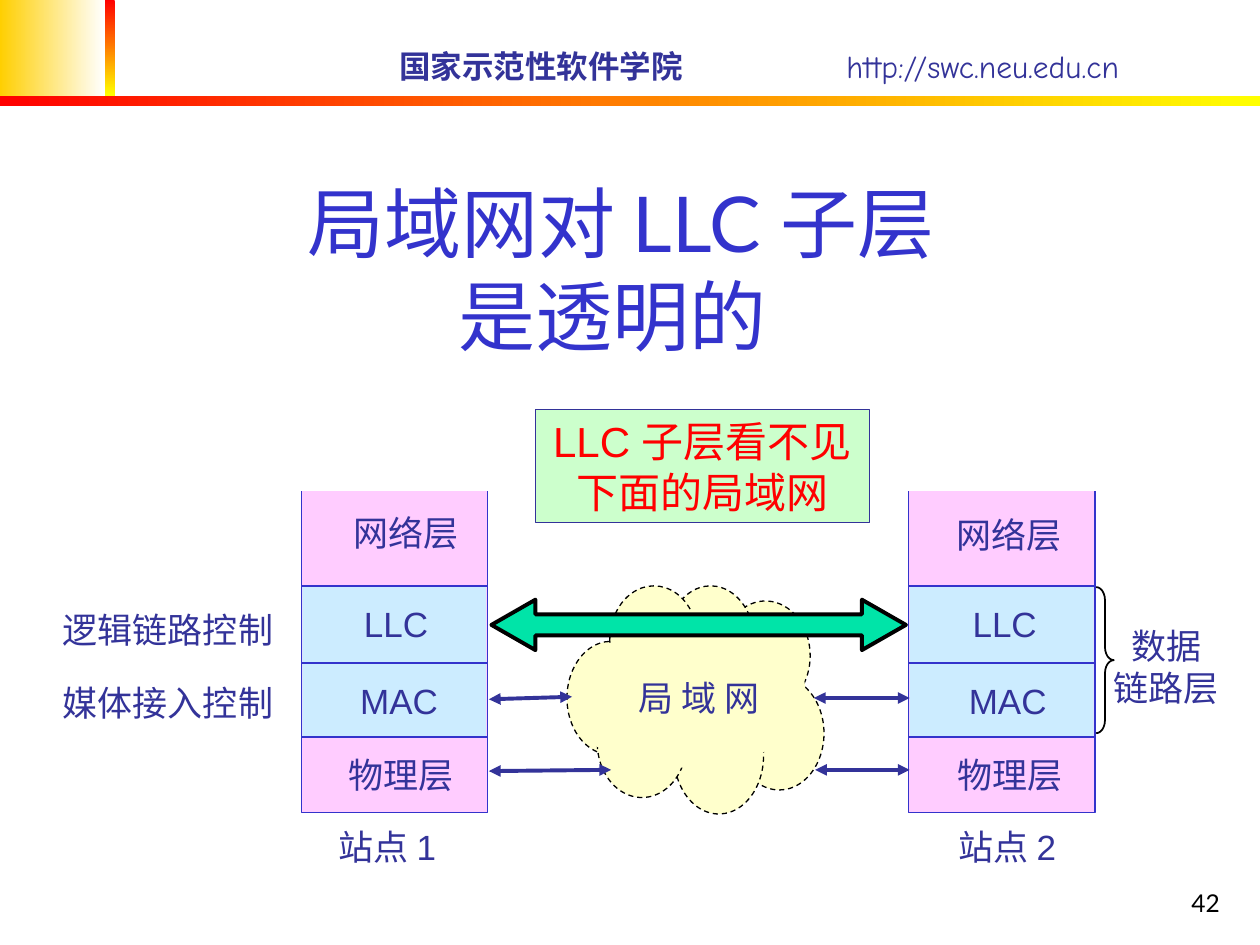
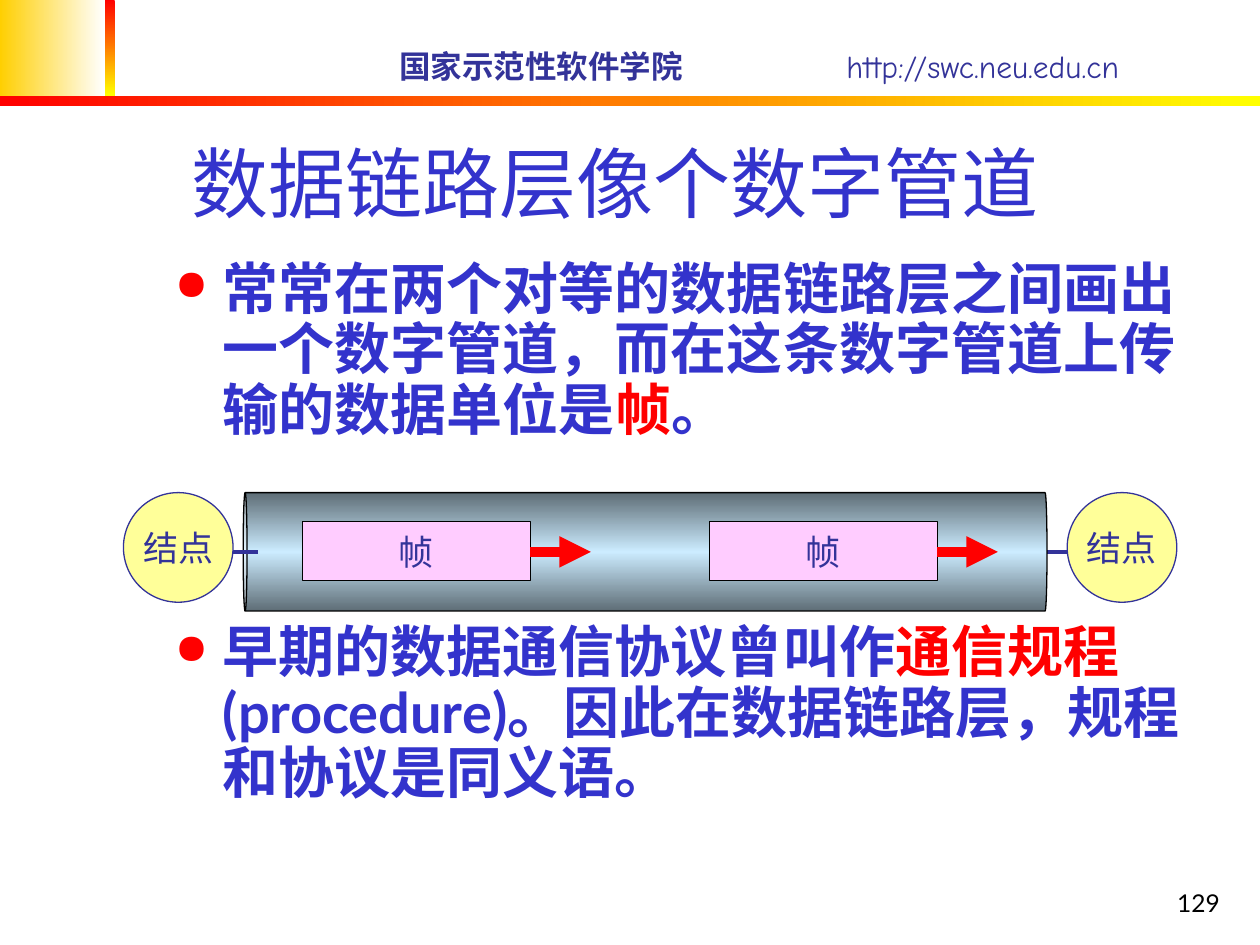
from lxml import etree
from pptx import Presentation
from pptx.dml.color import RGBColor
from pptx.enum.dml import MSO_LINE
from pptx.enum.shapes import MSO_CONNECTOR, MSO_SHAPE
from pptx.enum.text import MSO_ANCHOR, PP_ALIGN
from pptx.oxml.ns import qn
from pptx.util import Inches, Pt

RECT, OVAL, CAN = MSO_SHAPE.RECTANGLE, MSO_SHAPE.OVAL, MSO_SHAPE.CAN
DOUBLE_ARROW, BRACE = MSO_SHAPE.LEFT_RIGHT_ARROW, MSO_SHAPE.RIGHT_BRACE
STRAIGHT, DASH = MSO_CONNECTOR.STRAIGHT, MSO_LINE.DASH
LEFT, CENTER, RIGHT = PP_ALIGN.LEFT, PP_ALIGN.CENTER, PP_ALIGN.RIGHT
TOP, MIDDLE, BOTTOM = MSO_ANCHOR.TOP, MSO_ANCHOR.MIDDLE, MSO_ANCHOR.BOTTOM

# The slide is a grid of 10 columns by 7.5 rows.
SLIDE_W, SLIDE_H = Inches(10), Inches(7.5)
COL, ROW = SLIDE_W / 10, SLIDE_H / 7.5

COLORS = {
    "gold": "FFCF01", "white": "FFFFFF", "red": "FF0000", "yellow": "FFFF00",
    "navy": "333399", "blue": "3333CC", "black": "000000", "pink": "FFCCFF",
    "sky": "CCECFF", "cloud": "FFFFCC", "mint": "CCFFCC", "green": "00E4A8",
    "node": "FFFF99", "steel": "5E6D76",
}
BODY_FONT, DIAGRAM_FONT, HEADER_FONT = "Lato", "Arial", "Comic Neue"

STATION_LEFTS = (2.39, 7.21)
STATION_W, STATION_TOP, STATION_BOTTOM = 1.48, 3.9, 6.45
LAYER_EDGES = (4.65, 5.26, 5.85)
# text, width, left and top at each station
STATION_LABELS = [
    ("网络层", 1.1, (2.71, 4.01), (7.49, 4.03)),
    ("LLC", 0.75, (2.79, 4.73), (7.62, 4.73)),
    ("MAC", 0.85, (2.76, 5.34), (7.59, 5.34)),
    ("物理层", 1.1, (2.67, 5.93), (7.5, 5.93)),
    ("站点 1", 1.15, (2.59, 6.5), None),
    ("站点 2", 1.15, None, (7.51, 6.5)),
]
CLOUD_PUFFS = [
    (5.83, 5.37, 0.71, 0.9), (4.5, 5.09, 0.7, 0.9), (5.72, 4.77, 0.71, 0.87),
    (5.35, 5.54, 0.71, 0.92), (4.74, 5.46, 0.71, 0.87),
    (5.29, 4.65, 0.7, 0.9), (4.84, 4.65, 0.7, 0.86),
]
CLOUD_CORES = [(4.69, 4.85, 1.7, 1.25), (4.7, 5.69, 0.09, 0.24)]


def rgb(color):
    return RGBColor.from_string(COLORS[color])


def place(left, top, width, height):
    """Turn columns and rows into slide lengths."""
    return [round(n) for n in (left * COL, top * ROW, width * COL, height * ROW)]


def set_outline(shape, color, width, dash=None):
    if color is None:
        shape.line.fill.background()
        return
    shape.line.color.rgb = rgb(color)
    shape.line.width = Pt(width)
    if dash:
        shape.line.dash_style = dash


def set_fill(shape, fill):
    """Apply no fill, one colour name, or (angle, colour names) as a gradient."""
    if fill is None:
        shape.fill.background()
    elif isinstance(fill, str):
        shape.fill.solid()
        shape.fill.fore_color.rgb = rgb(fill)
    else:
        angle, names = fill
        shape.fill.gradient()
        shape.fill.gradient_angle = -angle % 360
        stops = shape._element.spPr.find(qn("a:gradFill")).find(qn("a:gsLst"))
        for stop in list(stops):
            stops.remove(stop)
        for i, name in enumerate(names):
            position = str(round(100000 * i / (len(names) - 1)))
            stop = etree.SubElement(stops, qn("a:gs"), pos=position)
            etree.SubElement(stop, qn("a:srgbClr"), val=COLORS[name])


def add_block(slide, kind, box, fill, line=None, width=0.75, dash=None, adjust=()):
    block = slide.shapes.add_shape(kind, *place(*box))
    block.shadow.inherit = False
    set_fill(block, fill)
    set_outline(block, line, width, dash)
    for i, value in enumerate(adjust):
        block.adjustments[i] = value
    return block


def write(shape, text, size, color, font, align=CENTER, anchor=MIDDLE,
          wrap=False, bold=False):
    frame = shape.text_frame
    frame.text = text
    frame.word_wrap = wrap
    frame.vertical_anchor = anchor
    for paragraph in frame.paragraphs:
        paragraph.alignment = align
        for run in paragraph.runs:
            style_run(run, size, color, font, bold)


def style_run(run, size, color, font, bold=False):
    run.font.size = Pt(size)
    run.font.name = font
    run.font.bold = bold
    run.font.color.rgb = rgb(color)


def add_text(slide, box, text, size, color, font, **layout):
    write(slide.shapes.add_textbox(*place(*box)), text, size, color, font, **layout)


def add_label(slide, text, left, top, width, height=0.43, align=LEFT):
    add_text(slide, (left, top, width, height), text, 20, "navy", DIAGRAM_FONT,
             align=align, anchor=TOP)


def add_line(slide, start, end, color, width, heads=()):
    ends = place(*start, *end)
    line = slide.shapes.add_connector(STRAIGHT, *ends)
    set_outline(line, color, width)
    properties = line._element.spPr
    for head in heads:
        etree.SubElement(properties.find(qn("a:ln")), qn("a:" + head), type="triangle")
    etree.SubElement(properties, qn("a:effectLst"))


def add_page(deck, title, title_left, title_top, number):
    """Add a slide with the college header, its title and its number."""
    slide = deck.slides.add_slide(deck.slide_layouts[6])
    add_block(slide, RECT, (0, 0, 0.83, 0.76), (0, ("gold", "white")))
    add_block(slide, RECT, (0.83, 0, 0.08, 0.76), (90, ("red", "yellow")))
    add_block(slide, RECT, (0, 0.76, 10, 0.08), (0, ("red", "yellow")))
    for left, text, bold in ((3.07, "国家示范性软件学院", True),
                             (6.62, "http://swc.neu.edu.cn", False)):
        add_text(slide, (left, 0.32, 3, 0.4), text, 18, "navy", HEADER_FONT,
                 align=LEFT, bold=bold)
    add_text(slide, (title_left, title_top, 7.5, 0.84), title, 44, "blue",
             BODY_FONT, anchor=BOTTOM, wrap=True)
    add_text(slide, (7.7, 6.83, 2.08, 0.5), number, 14, "black", BODY_FONT,
             align=RIGHT, anchor=BOTTOM, wrap=True)
    return slide


def add_station(slide, left):
    """Draw a protocol stack that is open at the top."""
    right = left + STATION_W
    corners = [(left, STATION_TOP), (left, STATION_BOTTOM),
               (right, STATION_BOTTOM), (right, STATION_TOP)]
    points = [(round(x * COL), round(y * ROW)) for x, y in corners]
    outline = slide.shapes.build_freeform(*points[0])
    outline.add_line_segments(points[1:], close=False)
    stack = outline.convert_to_shape()
    stack.shadow.inherit = False
    set_fill(stack, "pink")
    set_outline(stack, "blue", 0.75)
    link_top, link_bottom = LAYER_EDGES[0], LAYER_EDGES[-1]
    add_block(slide, RECT, (left + 0.01, link_top, STATION_W - 0.02,
                            link_bottom - link_top), "sky")
    for edge in LAYER_EDGES:
        add_line(slide, (left, edge), (right, edge), "blue", 1)


def add_cloud(slide):
    for puff in CLOUD_PUFFS:
        add_block(slide, OVAL, puff, "cloud", "black", dash=DASH)
    for core in CLOUD_CORES:
        add_block(slide, OVAL, core, "cloud")
    add_label(slide, "局 域 网", 4.97, 5.32, 1.31)


def build_transparency(deck):
    slide = add_page(deck, "局域网对 LLC 子层\v是透明的 ", 1.18, 2.07, "42")
    for left in STATION_LEFTS:
        add_station(slide, left)
    add_cloud(slide)
    for start, end in (((3.88, 5.55), (4.54, 5.53)), ((7.22, 5.54), (6.46, 5.54)),
                       ((3.88, 6.12), (4.85, 6.11)), ((7.22, 6.11), (6.47, 6.11))):
        add_line(slide, start, end, "navy", 2.25, ("headEnd", "tailEnd"))
    add_block(slide, DOUBLE_ARROW, (3.9, 4.76, 3.29, 0.4), "green", "black", 2.25,
              adjust=(0.417, 0.874))
    for text, width, *spots in STATION_LABELS:
        for spot in filter(None, spots):
            add_label(slide, text, *spot, width)
    add_label(slide, "逻辑链路控制", 0.4, 4.78, 1.95)
    add_label(slide, "媒体接入控制", 0.4, 5.36, 1.95)
    add_block(slide, BRACE, (8.7, 4.66, 0.14, 1.16), None, "black", 1,
              adjust=(0.74, 0.5))
    add_label(slide, "数据\n链路层", 8.7, 4.91, 1.11, 0.76, CENTER)
    note = add_block(slide, RECT, (4.25, 3.25, 2.65, 0.9), "mint", "navy")
    write(note, "LLC 子层看不见\n下面的局域网", 24, "red", DIAGRAM_FONT, anchor=TOP)


def add_bullet(paragraph, parts):
    """Fill a bulleted paragraph from (text, colour) parts."""
    paragraph.line_spacing = 0.9
    properties = paragraph._p.get_or_add_pPr()
    properties.set("marL", str(Inches(0.38)))
    properties.set("indent", str(-Inches(0.38)))
    bullet_color = etree.SubElement(properties, qn("a:buClr"))
    etree.SubElement(bullet_color, qn("a:srgbClr"), val=COLORS["red"])
    etree.SubElement(properties, qn("a:buSzPct"), val="75000")
    etree.SubElement(properties, qn("a:buChar"), char="●")
    for text, color in parts:
        run = paragraph.add_run()
        run.text = text
        style_run(run, 32, color, BODY_FONT, bold=True)


def add_pipe(slide):
    """Draw two nodes joined by a pipe that carries frames."""
    axis = 4.38
    for left in (0.98, 8.47):
        node = add_block(slide, OVAL, (left, 3.91, 0.87, 0.87), "node", "navy")
        write(node, "结点", 20, "navy", BODY_FONT)
    add_line(slide, (1.85, axis), (8.47, axis), "navy", 2.25)
    pipe = add_block(slide, CAN, (4.65, 1.19, 0.94, 6.38),
                     (0, ("steel", "sky", "steel")), "black", adjust=(0.033,))
    pipe.rotation = 270
    add_line(slide, (1.85, axis), (2.05, axis), "navy", 2.25)
    frame_w = 1.81
    for left in (2.4, 5.63):
        data_frame = add_block(slide, RECT, (left, 4.14, frame_w, 0.47), "pink", "black")
        write(data_frame, "帧", 20, "navy", BODY_FONT)
        right = left + frame_w
        add_line(slide, (right, axis), (right + 0.48, axis), "red", 6, ("tailEnd",))


def build_pipeline(deck):
    slide = add_page(deck, "数据链路层像个数字管道 ", 1.2, 1.02, "129")
    body = slide.shapes.add_textbox(*place(1.29, 2.02, 8.5, 5.29)).text_frame
    body.word_wrap = True
    add_bullet(body.paragraphs[0], [
        ("常常在两个对等的数据链路层之间画出一个数字管道，"
         "而在这条数字管道上传输的数据单位是", "blue"),
        ("帧", "red"), ("。", "blue")])
    below_pipe = body.add_paragraph()
    below_pipe.space_before = Pt(104)
    add_bullet(below_pipe, [
        ("早期的数据通信协议曾叫作", "blue"), ("通信规程", "red"),
        ("(procedure)。因此在数据链路层，规程和协议是同义语。", "blue")])
    add_pipe(slide)


def main():
    deck = Presentation()
    deck.slide_width, deck.slide_height = SLIDE_W, SLIDE_H
    build_transparency(deck)
    build_pipeline(deck)
    deck.save("out.pptx")


if __name__ == "__main__":
    main()
